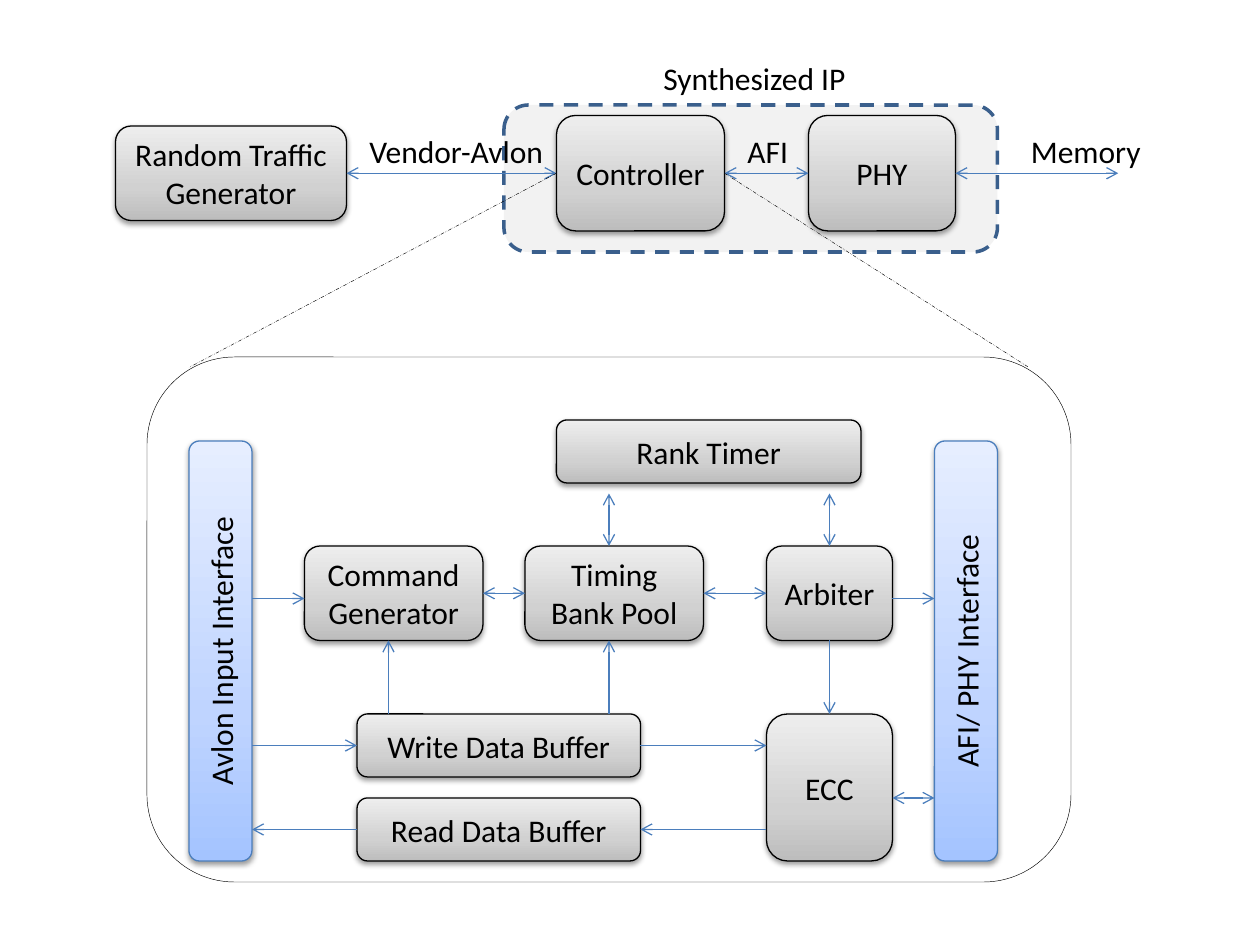
from copy import deepcopy

from lxml.etree import SubElement
from pptx import Presentation
from pptx.dml.color import RGBColor
from pptx.enum.dml import MSO_LINE
from pptx.enum.shapes import MSO_CONNECTOR, MSO_SHAPE
from pptx.enum.text import MSO_ANCHOR, MSO_AUTO_SIZE, PP_ALIGN
from pptx.oxml.ns import qn
from pptx.util import Pt

TOP, LEFT, BOTTOM, RIGHT = range(4)
BLACK, BLUE = "000000", "4B7EBC"
GREYS = ["BDBDBD", "D1D1D1", "EEEEEE"]
BLUES = ["A4C4FF", "BFD4FF", "E6EEFF"]
FONT = {"name": "Calibri", "size": Pt(18)}


def color(hex_text):
    return RGBColor.from_string(hex_text)


def write(frame, text, **settings):
    """Put one paragraph in a text frame and format both."""
    for name, value in {"word_wrap": True, **settings}.items():
        setattr(frame, name, value)
    para = frame.paragraphs[0]
    span = para.add_run()
    span.text = text
    for name, value in FONT.items():
        setattr(span.font, name, value)
    span.font.color.rgb = color(BLACK)
    return para


deck = Presentation()
deck.slide_width, deck.slide_height = Pt(720), Pt(540)
page = deck.slides.add_slide(deck.slide_layouts[6])
shapes = page.shapes

# Outlines around the controller details and the synthesized part
panels = [
    ((84, 204, 528, 300), "FFFFFF", BLACK, 0.25, MSO_LINE.SOLID),
    ((288, 60, 282, 84), "F2F2F2", "3A5F8C", 2, MSO_LINE.DASH),
]
for area, fill, line, width, dash in panels:
    panel = shapes.add_shape(MSO_SHAPE.ROUNDED_RECTANGLE, *map(Pt, area))
    panel.shadow.inherit = False
    panel.fill.solid()
    panel.fill.fore_color.rgb = color(fill)
    panel.line.color.rgb = color(line)
    panel.line.width = Pt(width)
    panel.line.dash_style = dash

# Blocks with a gradient and a soft shadow
blocks = {
    "Random Traffic Generator": (66, 72, 132, 54),
    "Controller": (318, 66, 96, 66),
    "PHY": (462, 66, 84, 66),
    "Write Data Buffer": (204, 408, 162, 36),
    "Read Data Buffer": (204, 456, 162, 36),
    "ECC": (438, 408, 72, 84),
    "Arbiter": (438, 312, 72, 54),
    "Timing Bank Pool": (300, 312, 102, 54),
    "Command Generator": (174, 312, 102, 54),
    "Rank Timer": (318, 240, 174, 36),
    "AFI/ PHY Interface": (534, 252, 36, 240),
    "Avlon Input Interface": (108, 252, 36, 240),
}
boxes = {}
for label, area in blocks.items():
    upright = label.endswith("Interface")
    box = shapes.add_shape(MSO_SHAPE.ROUNDED_RECTANGLE, *map(Pt, area))
    boxes[label] = box
    box.line.color.rgb = color(BLUE if upright else BLACK)
    box.line.width = Pt(0.75)

    box.fill.gradient()
    box.fill.gradient_angle = 90
    first_stop = next(box._element.spPr.iter(qn("a:gs")))
    first_stop.addnext(deepcopy(first_stop))
    stops = zip(box.fill.gradient_stops, (0, 0.35, 1), BLUES if upright else GREYS)
    for stop, position, tone in stops:
        stop.position = position
        stop.color.rgb = color(tone)

    box.shadow.inherit = False
    effects = box._element.spPr.find(qn("a:effectLst"))
    shadow = SubElement(effects, qn("a:outerShdw"), blurRad=str(Pt(3.1)),
                        dist=str(Pt(1.6)), dir="5400000", rotWithShape="0")
    tint = SubElement(shadow, qn("a:srgbClr"), val=BLACK)
    SubElement(tint, qn("a:alpha"), val="38000")

    para = write(box.text_frame, label, vertical_anchor=MSO_ANCHOR.MIDDLE)
    para.alignment = PP_ALIGN.CENTER
    if upright:
        box.text_frame._txBody.bodyPr.set("vert", "vert270")

# Captions
captions = [
    ("Synthesized IP", 372, 30, 144),
    ("Memory", 582, 72, 90),
    ("Vendor-Avlon", 204, 72, 144),
    ("AFI", 420, 72, 48),
]
for text, left, top, width in captions:
    caption = shapes.add_textbox(Pt(left), Pt(top), Pt(width), Pt(29))
    write(caption.text_frame, text, auto_size=MSO_AUTO_SIZE.SHAPE_TO_FIT_TEXT)

# Each end is a point, or a block and one of its sides
two_way = [
    (("Controller", RIGHT), ("PHY", LEFT)),
    (("Random Traffic Generator", RIGHT), ("Controller", LEFT)),
    (("PHY", RIGHT), (639, 99)),
    ((348, 312), (348, 282)),
    (("Arbiter", TOP), (474, 282)),
    (("Timing Bank Pool", RIGHT), ("Arbiter", LEFT)),
    (("Command Generator", RIGHT), ("Timing Bank Pool", LEFT)),
    ((510, 456), (534, 456)),
]
one_way = [
    ((144, 342), (174, 342)),
    ((144, 426), ("Write Data Buffer", LEFT)),
    (("Read Data Buffer", LEFT), (144, 474)),
    (("Write Data Buffer", RIGHT), (438, 426)),
    ((438, 474), ("Read Data Buffer", RIGHT)),
    ((510, 342), (534, 342)),
    ((222, 408), (222, 366)),
    ((348, 408), (348, 366)),
    (("Arbiter", BOTTOM), ("ECC", TOP)),
]
zoom_lines = [
    (("Controller", LEFT), (108, 210)),
    (("Controller", RIGHT), (588, 210)),
]
groups = [
    (two_way, BLUE, 0.75, MSO_LINE.SOLID, ("headEnd", "tailEnd")),
    (one_way, BLUE, 0.75, MSO_LINE.SOLID, ("tailEnd",)),
    (zoom_lines, BLACK, 0.25, MSO_LINE.DASH_DOT_DOT, ()),
]
for links, tone, width, dash, arrow_ends in groups:
    for start, end in links:
        points = [(0, 0) if point[0] in boxes else point for point in (start, end)]
        link = shapes.add_connector(
            MSO_CONNECTOR.STRAIGHT, *(Pt(value) for point in points for value in point))
        for join, (block, side) in ((link.begin_connect, start), (link.end_connect, end)):
            if block in boxes:
                join(boxes[block], side)
        link.line.color.rgb = color(tone)
        link.line.width = Pt(width)
        link.line.dash_style = dash
        properties = link._element.spPr
        for arrow_end in arrow_ends:
            SubElement(properties.find(qn("a:ln")), qn(f"a:{arrow_end}"), type="arrow")
        SubElement(properties, qn("a:effectLst"))

deck.save("out.pptx")
